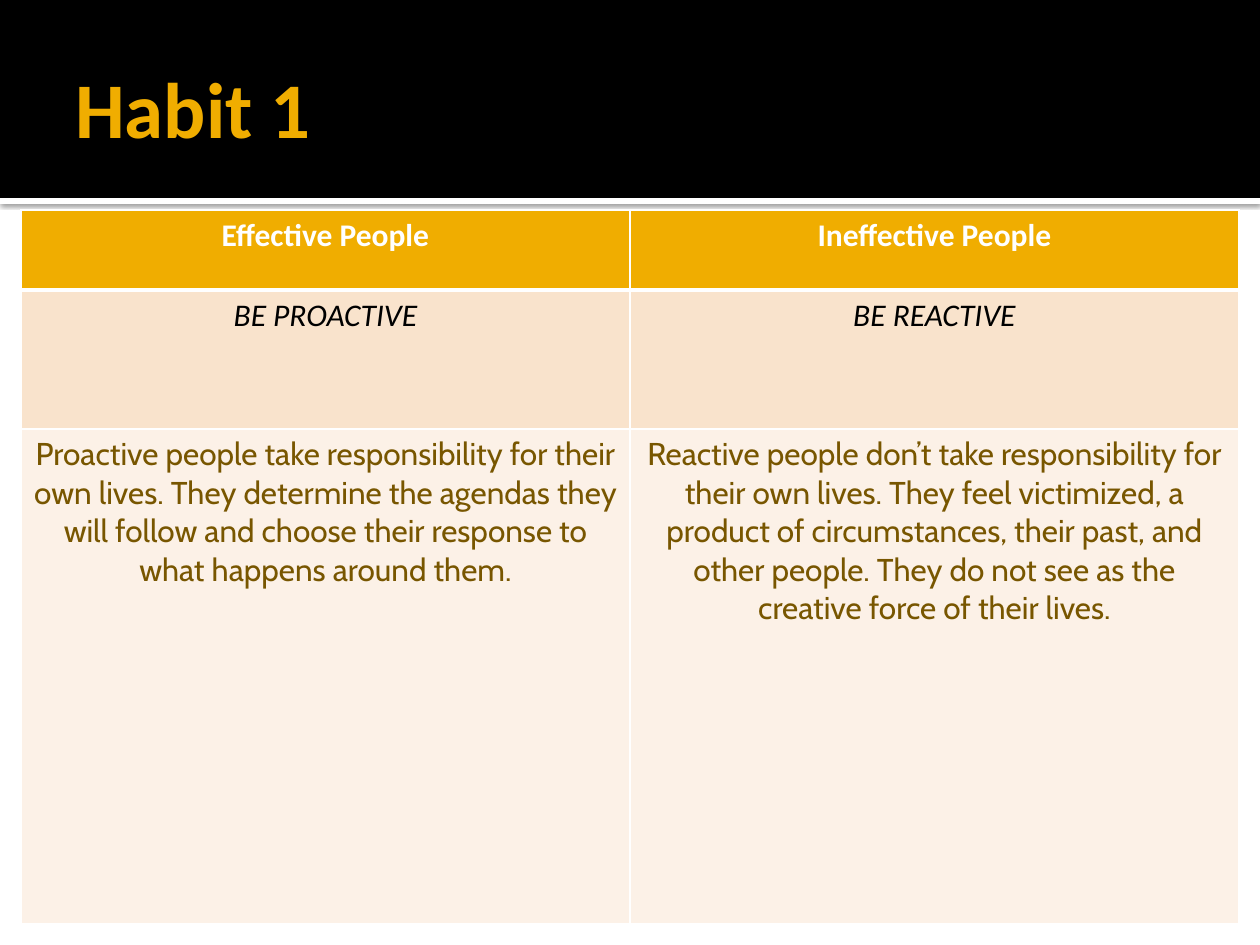
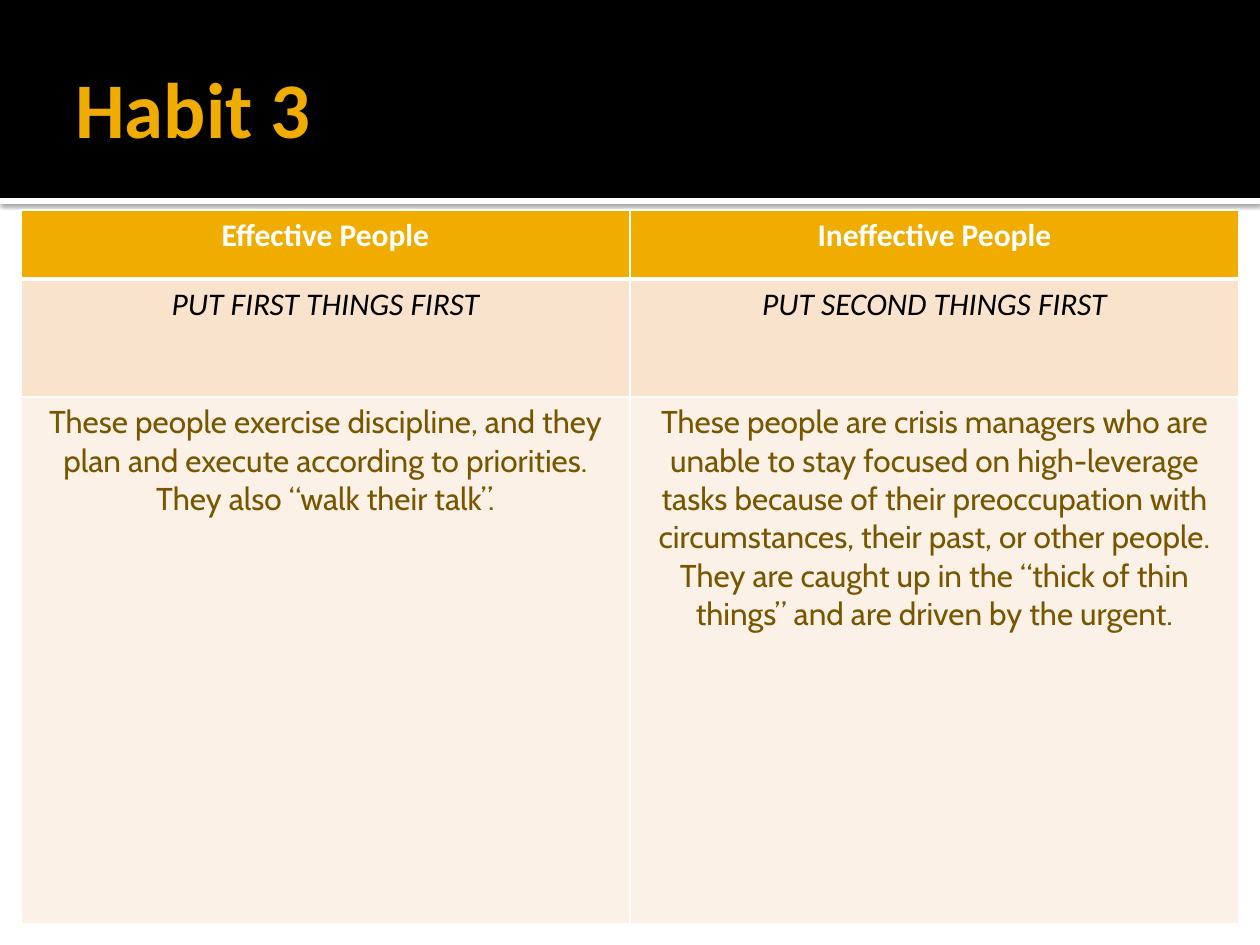
from lxml import etree
from pptx import Presentation
from pptx import util as u
from pptx.dml.color import RGBColor
from pptx.enum import shapes, text
from pptx.oxml import parse_xml
from pptx.oxml.ns import nsdecls, qn

COLORS = {
    "gold": "F0AD00", "black": "000000", "white": "FFFFFF",
    "peach": "F9E3CC", "cream": "FCF1E7", "brown": "785600",
}
PX_PER_INCH = 126
SLIDE_W, SLIDE_H = 1260, 945
BAND_H, STRIP_H = 198, 6
TABLE_LEFT, TABLE_TOP, COLUMN_W = 21, 210, 609
THIN, THICK = 1, 3

# One entry per table row: fill, font, text colour, bold, italic
ROW_STYLES = [
    ("gold", "Calibri", "white", True, False),
    ("peach", "Calibri", "black", False, True),
    ("cream", "Cabin", "brown", False, False),
]
HEADINGS = ("Effective People", "Ineffective People")
HABITS = [
    ("Habit 1", (80, 139, 495), [
        HEADINGS,
        ("BE PROACTIVE", "BE REACTIVE"),
        ("Proactive people take responsibility for their own lives. They determine "
         "the agendas they will follow and choose their response to what happens "
         "around them.",
         "Reactive people don’t take responsibility for their own lives. They feel "
         "victimized, a product of circumstances, their past, and other people. "
         "They do not see as the creative force of their lives."),
    ]),
    ("Habit 3", (69, 118, 527), [
        HEADINGS,
        ("PUT FIRST THINGS FIRST", "PUT SECOND THINGS FIRST"),
        ("These people exercise discipline, and they plan and execute according to "
         "priorities. They also “walk their talk”.",
         "These people are crisis managers who are unable to stay focused on "
         "high-leverage tasks because of their preoccupation with circumstances, "
         "their past, or other people. They are caught up in the “thick of thin "
         "things” and are driven by the urgent."),
    ]),
]


def px(length):
    return u.Emu(round(length * u.Inches(1) / PX_PER_INCH))


def add_run(paragraph, words, size, font, color, bold, italic=False):
    run = paragraph.add_run()
    run.text = words
    run.font.size = u.Pt(size)
    run.font.name = font
    run.font.bold = bold
    run.font.italic = italic
    run.font.color.rgb = RGBColor.from_string(COLORS[color])


prs = Presentation()
prs.slide_width, prs.slide_height = px(SLIDE_W), px(SLIDE_H)

for habit, row_heights, rows in HABITS:
    slide = prs.slides.add_slide(prs.slide_layouts[6])

    # White strip with a soft shadow below the black title band
    for top, height, color in ((BAND_H, STRIP_H, "white"), (0, BAND_H, "black")):
        band = slide.shapes.add_shape(
            shapes.MSO_SHAPE.RECTANGLE, 0, px(top), px(SLIDE_W), px(height))
        band.shadow.inherit = False
        band.fill.solid()
        band.fill.fore_color.rgb = RGBColor.from_string(COLORS[color])
        band.line.fill.background()
        if color == "white":
            effects = band._element.spPr.find(qn("a:effectLst"))
            shadow = etree.SubElement(
                effects, qn("a:outerShdw"), blurRad=str(u.Pt(2.5)),
                dist=str(u.Pt(0.8)), dir="5400000", algn="tl", rotWithShape="0")
            tint = etree.SubElement(shadow, qn("a:srgbClr"), val=COLORS["black"])
            etree.SubElement(tint, qn("a:alpha"), val="60000")

    title = slide.shapes.add_textbox(px(63), px(21), px(1134), px(173)).text_frame
    title.word_wrap = True
    title.vertical_anchor = text.MSO_ANCHOR.MIDDLE
    title.margin_left = u.Inches(0.1)
    title.margin_right = title.margin_top = title.margin_bottom = u.Inches(0.05)
    add_run(title.paragraphs[0], habit, 45, "Calibri", "gold", True)

    comparison = slide.shapes.add_table(
        len(rows), len(HEADINGS), px(TABLE_LEFT), px(TABLE_TOP),
        px(COLUMN_W * len(HEADINGS)), px(sum(row_heights))).table
    for column in comparison.columns:
        column.width = px(COLUMN_W)

    for r, (height, entries, style) in enumerate(zip(row_heights, rows, ROW_STYLES)):
        comparison.rows[r].height = px(height)
        fill, font, color, bold, italic = style
        borders = {"lnL": THIN, "lnR": THIN,
                   "lnT": THICK if r == 1 else THIN,
                   "lnB": THICK if r == 0 else THIN}
        for c, words in enumerate(entries):
            cell = comparison.cell(r, c)
            cell.fill.solid()
            cell.fill.fore_color.rgb = RGBColor.from_string(COLORS[fill])
            paragraph = cell.text_frame.paragraphs[0]
            paragraph.alignment = text.PP_ALIGN.CENTER
            add_run(paragraph, words, 18, font, color, bold, italic)
            for position, (side, width) in enumerate(borders.items()):
                cell._tc.tcPr.insert(position, parse_xml(
                    f'<a:{side} {nsdecls("a")} w="{u.Pt(width)}"><a:solidFill>'
                    f'<a:srgbClr val="{COLORS["white"]}"/></a:solidFill></a:{side}>'))

prs.save("out.pptx")
